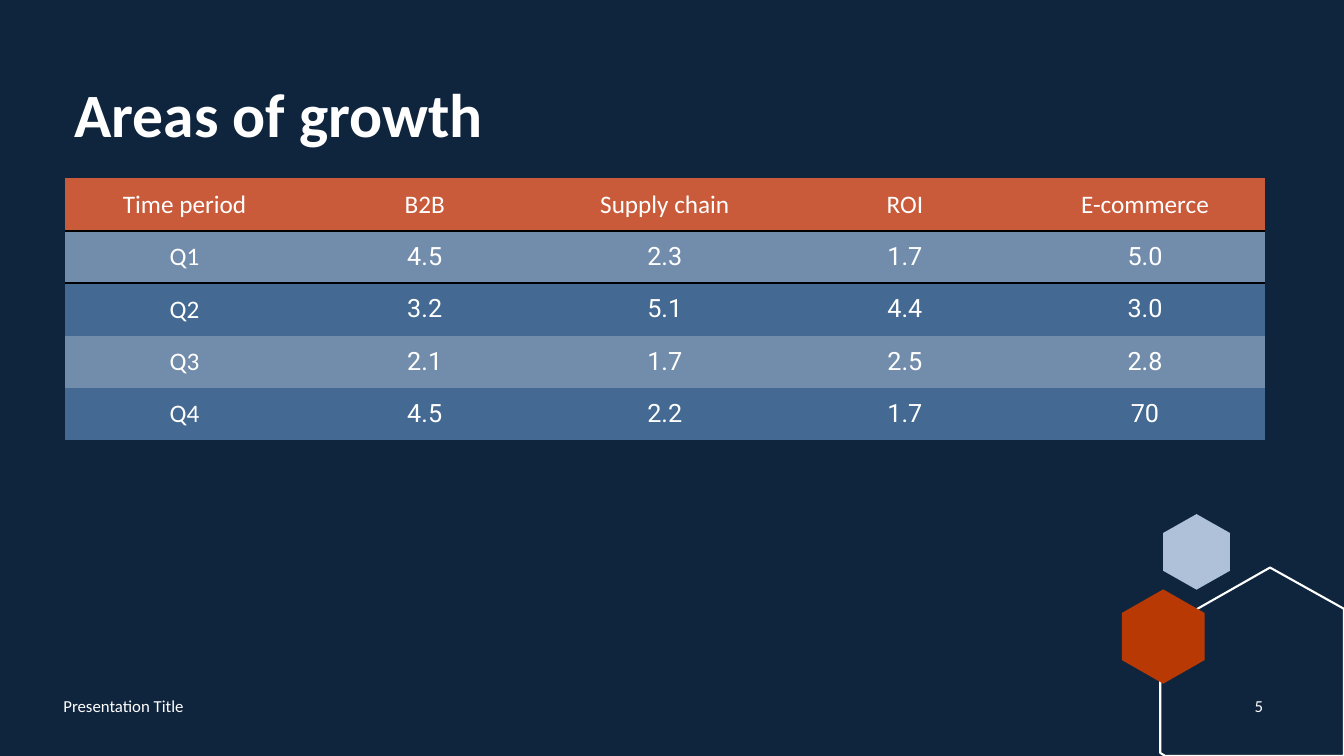
from lxml.etree import SubElement
from pptx import Presentation
from pptx.dml.color import RGBColor
from pptx.enum.text import MSO_ANCHOR, PP_ALIGN
from pptx.oxml import parse_xml
from pptx.oxml.ns import nsdecls, qn
from pptx.util import Inches, Pt

COLORS = {
    "navy": "0F253E", "white": "FFFFFF", "black": "000000",
    "header": "C95B3A", "light_row": "728DAB", "dark_row": "446992",
    "pale": "AEC1D8", "rust": "B83903",
}
PLAIN_TABLE = "{2D5ABB26-0587-4C30-8999-92F81FD0307C}"

GROWTH = [
    ["Time period", "B2B", "Supply chain", "ROI", "E-commerce"],
    ["Q1", "4.5", "2.3", "1.7", "5.0"],
    ["Q2", "3.2", "5.1", "4.4", "3.0"],
    ["Q3", "2.1", "1.7", "2.5", "2.8"],
    ["Q4", "4.5", "2.2", "1.7", "70"],
]


def rgb(name):
    return RGBColor.from_string(COLORS[name])


class Deck:
    """Slide style; all lengths are percentages of the slide's width and height."""

    text_font, figure_font = "Calibri", "Roboto"

    def __init__(self):
        self.prs = Presentation()
        self.prs.slide_width, self.prs.slide_height = Inches(13.333), Inches(7.5)
        self.s = self.prs.slides.add_slide(self.prs.slide_layouts[6])
        fill = self.s.background.fill
        fill.solid()
        fill.fore_color.rgb = rgb("navy")

    def x(self, share):
        return round(self.prs.slide_width * share / 100)

    def y(self, share):
        return round(self.prs.slide_height * share / 100)

    def box(self, left, top, width, height):
        return self.x(left), self.y(top), self.x(width), self.y(height)

    def style(self, p, size, font=text_font, bold=False, align=PP_ALIGN.LEFT):
        p.alignment = align
        p.font.name, p.font.size, p.font.bold = font, Pt(size), bold
        p.font.color.rgb = rgb("white")

    def text(self, text, area, size, anchor=MSO_ANCHOR.MIDDLE, spacing=1.0, **style):
        tf = self.s.shapes.add_textbox(*self.box(*area)).text_frame
        tf.word_wrap, tf.vertical_anchor = True, anchor
        p = tf.paragraphs[0]
        p.text, p.line_spacing = text, spacing
        self.style(p, size, **style)

    def outline(self, points, fill=None, line=None):
        start, *rest = [(self.x(x), self.y(y)) for x, y in points]
        builder = self.s.shapes.build_freeform(*start, scale=1.0)
        builder.add_line_segments(rest, close=True)
        sp = builder.convert_to_shape()
        sp.shadow.inherit = False
        if fill:
            sp.fill.solid()
            sp.fill.fore_color.rgb = rgb(fill)
        else:
            sp.fill.background()
        if line:
            sp.line.color.rgb, sp.line.width = rgb(line), Pt(1.5)
        else:
            sp.line.fill.background()

    def hexagon(self, cx, cy, width, height, fill):
        dx, dy = width / 2, height / 4
        self.outline([(cx, cy - 2 * dy), (cx + dx, cy - dy), (cx + dx, cy + dy),
                      (cx, cy + 2 * dy), (cx - dx, cy + dy), (cx - dx, cy - dy)], fill)

    def border(self, cell, side):
        ln = parse_xml(f'<a:{side} {nsdecls("a")} w="{Pt(1.5)}"/>')
        solid = SubElement(ln, qn("a:solidFill"))
        SubElement(solid, qn("a:srgbClr"), val=COLORS["black"])
        cell._tc.get_or_add_tcPr().insert(0, ln)

    def table(self, data, area):
        frame = self.s.shapes.add_table(len(data), len(data[0]), *self.box(*area))
        frame.element.xpath(".//a:tableStyleId")[0].text = PLAIN_TABLE
        for i, values in enumerate(data):
            color = "header" if i == 0 else ("dark_row", "light_row")[i % 2]
            for j, value in enumerate(values):
                cell = frame.table.cell(i, j)
                cell.text, cell.vertical_anchor = value, MSO_ANCHOR.MIDDLE
                cell.fill.solid()
                cell.fill.fore_color.rgb = rgb(color)
                font = self.figure_font if i and j else self.text_font
                self.style(cell.text_frame.paragraphs[0], 18, font, align=PP_ALIGN.CENTER)
                if i < 2:
                    self.border(cell, ("lnB", "lnT")[i])


def main():
    deck = Deck()
    deck.hexagon(89.03, 73, 4.97, 10, "pale")
    deck.outline([(94.5, 75.07), (100, 80.53), (100, 100), (86.7, 100),
                  (86.33, 99.6), (86.33, 83.33)], line="white")
    deck.hexagon(86.55, 84.2, 6.15, 12.47, "rust")
    deck.text("Areas of growth", (4.8, 10.53, 89.33, 20.67), 44,
              anchor=MSO_ANCHOR.TOP, spacing=0.9, bold=True)
    deck.table(GROWTH, (4.8, 23.6, 89.33, 34.67))
    deck.text("5", (91.8, 90.67, 3.75, 5.33), 12, align=PP_ALIGN.CENTER)
    deck.text("Presentation Title", (3.98, 90.67, 33.75, 5.33), 12)
    deck.prs.save("out.pptx")


if __name__ == "__main__":
    main()
